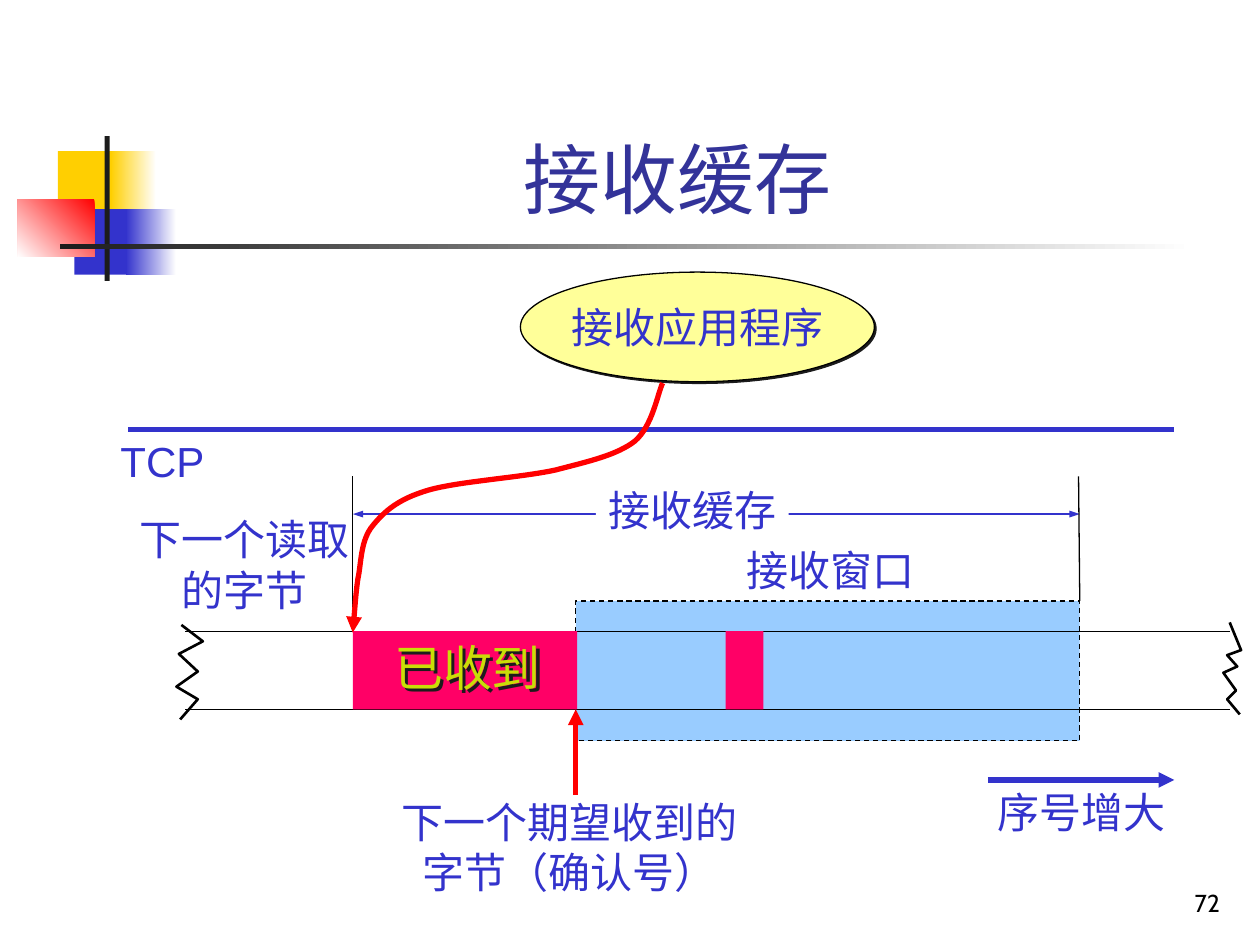
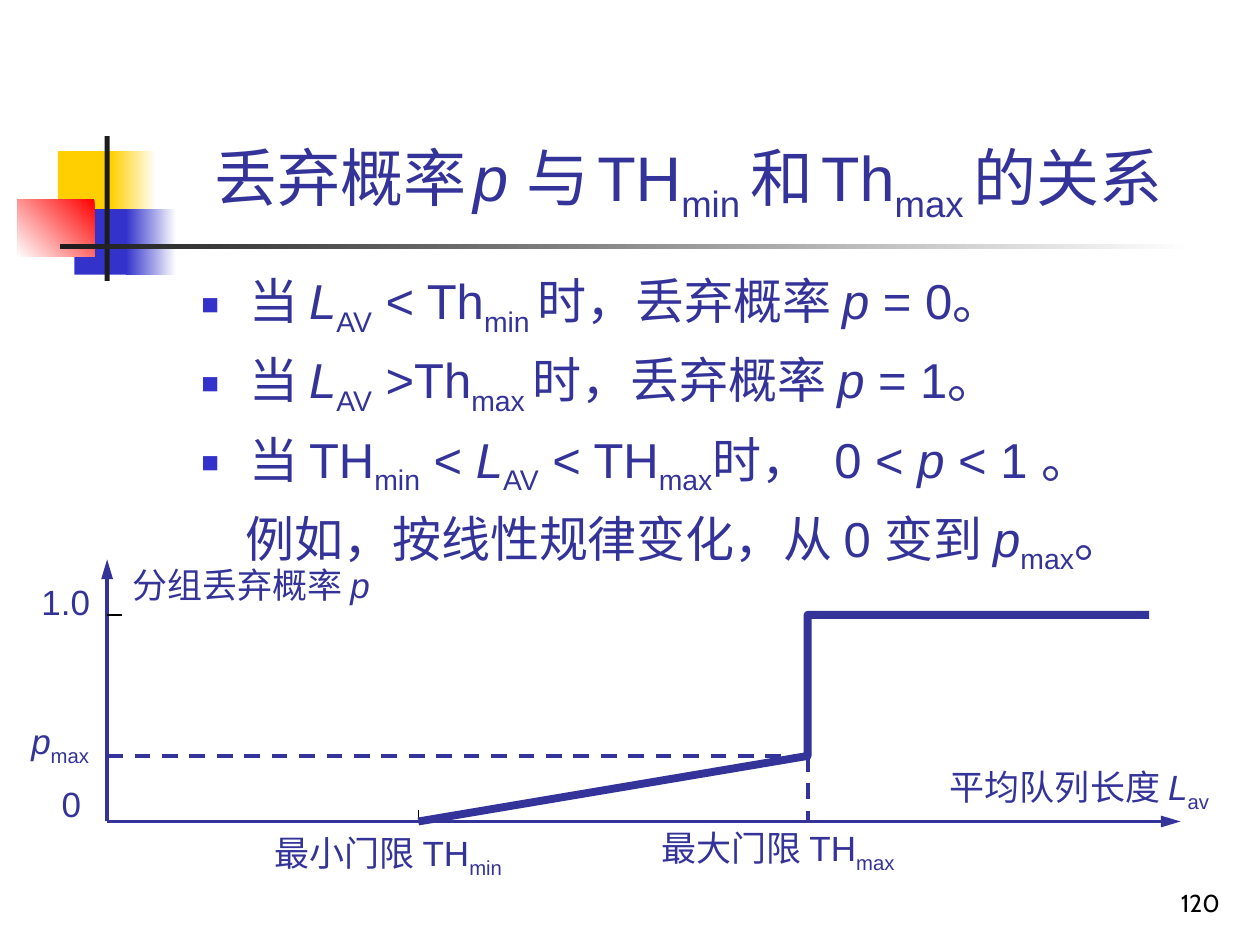
from lxml.etree import SubElement
from pptx import Presentation
from pptx.dml.color import RGBColor
from pptx.enum.dml import MSO_LINE
from pptx.enum.shapes import MSO_CONNECTOR, MSO_SHAPE
from pptx.enum.text import MSO_ANCHOR, PP_ALIGN
from pptx.oxml.ns import qn
from pptx.util import Pt

PX = 9144

WHITE = RGBColor(0xFF, 0xFF, 0xFF)
BLACK = RGBColor(0x00, 0x00, 0x00)
CHARCOAL = RGBColor(0x1C, 0x1C, 0x1C)
GOLD = RGBColor(0xFF, 0xCF, 0x01)
BLUE = RGBColor(0x33, 0x33, 0xCC)
NAVY = RGBColor(0x33, 0x33, 0x99)
RED = RGBColor(0xFF, 0x00, 0x00)
SKY = RGBColor(0x99, 0xCC, 0xFF)
CREAM = RGBColor(0xFF, 0xFF, 0x99)
PINK = RGBColor(0xFF, 0x00, 0x66)
LIME = RGBColor(0xC9, 0xDE, 0x06)

FONT = "Arial"
NUMBER_FONT = "Cabin"
LEFT = PP_ALIGN.LEFT
CENTER = PP_ALIGN.CENTER
DASH = MSO_LINE.DASH

MEDIUM_ARROW = {"w": "med", "len": "med"}
NARROW_ARROW = {"w": "sm", "len": "med"}
LONG_ARROW = {"w": "med", "len": "lg"}

MARKS = {
    "/": ({"italic": True}, {}),
    "_": ({}, {"baseline": "-25000"}),
    "~": ({"size": Pt(20)}, {}),
    ">>": ({}, {"spc": "750"}),
}


def emu(*lengths):
    return [round(length * PX) for length in lengths]


def apply(target, values):
    for name, value in values.items():
        setattr(target, name, value)


def add_shadow(shape, distance):
    shape.shadow.inherit = False
    effects = shape._element.spPr.find(qn("a:effectLst"))
    shadow = SubElement(effects, qn("a:outerShdw"), dist=str(Pt(distance)), dir="2700000", algn="ctr", rotWithShape="0")
    SubElement(shadow, qn("a:srgbClr"), val=str(CHARCOAL))


def style_line(line, color, width, dash=None, head=None, tail=None):
    line.color.rgb = color
    apply(line, {"width": Pt(width), "dash_style": dash})
    for tag, arrow in (("a:headEnd", head), ("a:tailEnd", tail)):
        if arrow:
            SubElement(line._get_or_add_ln(), qn(tag), type="triangle", **arrow)


def add_block(page, kind, place, fill, outline=None, dash=None):
    block = page.shapes.add_shape(kind, *emu(*place))
    block.shadow.inherit = False
    block.fill.solid()
    block.fill.fore_color.rgb = fill
    if outline is None:
        block.line.fill.background()
    else:
        style_line(block.line, outline, 0.75, dash)
    return block


def add_fade(page, place, start, end, angle=180):
    block = add_block(page, MSO_SHAPE.RECTANGLE, place, start)
    block.fill.gradient()
    block.fill.gradient_angle = angle
    for stop, color, position in zip(block.fill.gradient_stops, (start, end), (0, 1)):
        stop.color.rgb = color
        stop.position = position


def add_line(page, start, end, color, width, **ends):
    line = page.shapes.add_connector(MSO_CONNECTOR.STRAIGHT, *emu(*start, *end))
    style_line(line.line, color, width, **ends)
    SubElement(line._element.spPr, qn("a:effectLst"))


def add_path(page, points, color, width, tail=None):
    corners = [emu(*point) for point in points]
    builder = page.shapes.build_freeform(*corners[0], scale=1.0)
    builder.add_line_segments(corners[1:], close=False)
    outline = builder.convert_to_shape()
    outline.shadow.inherit = False
    outline.fill.background()
    style_line(outline.line, color, width, tail=tail)


def curve_points(start, segments, steps=16):
    points = [start]
    for first, second, end in segments:
        for step in range(1, steps + 1):
            t = step / steps
            weights = ((1 - t) ** 3, 3 * t * (1 - t) ** 2, 3 * t * t * (1 - t), t ** 3)
            corners = (start, first, second, end)
            points.append(tuple(sum(w * c[axis] for w, c in zip(weights, corners)) for axis in (0, 1)))
        start = end
    return points


def add_spans(para, text, font):
    for piece in text.split("|"):
        mark = next((key for key in MARKS if piece.startswith(key)), "")
        changes, attributes = MARKS.get(mark, ({}, {}))
        span = para.add_run()
        span.text = piece[len(mark):]
        apply(span.font, {"name": font.get("name", FONT), "size": Pt(font["size"]), **changes})
        span.font.color.rgb = font["color"]
        for name, value in attributes.items():
            span._r.get_or_add_rPr().set(name, value)


def write_text(shape, lines, font, align=LEFT, **frame):
    apply(shape.text_frame, {"word_wrap": False, "vertical_anchor": MSO_ANCHOR.TOP, **frame})
    for index, line in enumerate(lines):
        para = shape.text_frame.paragraphs[0] if index == 0 else shape.text_frame.add_paragraph()
        para.alignment = align
        add_spans(para, line, font)


def add_label(page, place, text, size, color, align=LEFT):
    box = page.shapes.add_textbox(*emu(*place))
    left, right = emu(10, 0) if align == LEFT else emu(5, 5)
    font = {"size": size, "color": color}
    write_text(box, text.split("\n"), font, align, word_wrap=True, margin_left=left, margin_right=right)
    return box


def add_anchored(page, place, text, font, align):
    box = page.shapes.add_textbox(*emu(*place))
    write_text(box, [text], font, align, word_wrap=True, vertical_anchor=MSO_ANCHOR.BOTTOM)


def add_bullets(page, place, lines, closing):
    box = page.shapes.add_textbox(*emu(*place))
    write_text(box, [*lines, closing], {"size": 28, "color": NAVY}, word_wrap=True)
    for index, para in enumerate(box.text_frame.paragraphs):
        if index:
            para.space_before = Pt(7)
        props = para._p.get_or_add_pPr()
        bulleted = index < len(lines)
        margin, indent = emu(38, -38) if bulleted else emu(35, 0)
        props.set("marL", str(margin))
        props.set("indent", str(indent))
        if bulleted:
            SubElement(SubElement(props, qn("a:buClr")), qn("a:srgbClr"), val=str(BLUE))
            SubElement(props, qn("a:buSzPct"), val="60000")
            SubElement(props, qn("a:buFont"), typeface=FONT)
            SubElement(props, qn("a:buChar"), char="■")


def start_page(deck, title, title_size, title_width, number):
    page = deck.slides.add_slide(deck.slide_layouts[6])
    rectangle = MSO_SHAPE.RECTANGLE
    add_block(page, rectangle, (46, 120, 48, 52), GOLD)
    add_fade(page, (88, 120, 36, 52), WHITE, GOLD)
    add_block(page, rectangle, (59, 166, 46, 52), BLUE)
    add_fade(page, (100, 166, 40, 52), WHITE, BLUE)
    add_fade(page, (14, 158, 61, 46), RED, WHITE, 225)
    add_block(page, rectangle, (83, 108, 4, 115), CHARCOAL)
    add_fade(page, (48, 194, 900, 4), WHITE, CHARCOAL)
    add_anchored(page, (126, 23, title_width, 160), title, {"size": title_size, "color": NAVY}, CENTER)
    number_font = {"name": NUMBER_FONT, "size": 14, "color": BLACK}
    add_anchored(page, (770, 683, 208, 50), number, number_font, PP_ALIGN.RIGHT)
    return page


def build_buffer_page(deck):
    page = start_page(deck, "接收缓存", 44, 823, "72")
    rectangle = MSO_SHAPE.RECTANGLE
    buffer_left, buffer_right, next_byte = 280, 857, 457
    stream_top, stream_bottom = 501, 563
    stream_height = stream_bottom - stream_top

    add_block(page, rectangle, (next_byte, 477, buffer_right - next_byte, 111), SKY, BLACK, DASH)
    application = add_block(page, MSO_SHAPE.OVAL, (413, 216, 281, 87), CREAM, BLACK)
    add_shadow(application, 1.4)
    write_text(application, ["接收应用程序"], {"size": 24, "color": BLUE}, CENTER, vertical_anchor=MSO_ANCHOR.MIDDLE)

    add_line(page, (102, 341), (932, 341), BLUE, 3)
    for y in (stream_top, stream_bottom):
        add_line(page, (147, y), (976, y), BLACK, 0.75)
    for left, width in ((buffer_left, 178), (576, 30)):
        add_block(page, rectangle, (left, stream_top, width, stream_height), PINK)
    received = add_label(page, (303, 501, 136, 57), "已收到", 28, LIME)
    add_shadow(received, 2.5)

    add_line(page, (buffer_left, 378), (buffer_left, stream_top), BLACK, 0.75)
    add_line(page, (buffer_left, 408), (buffer_right, 408), BLUE, 0.75, head=NARROW_ARROW, tail=NARROW_ARROW)
    add_line(page, (856, 378), (buffer_right, 477), BLACK, 0.75)
    for place, text in (
        ((583, 427, 153, 50), "接收窗口"),
        ((86, 341, 86, 50), "TCP"),
        ((473, 380, 153, 50), "接收缓存"),
        ((101, 403, 186, 90), "下一个读取\n的字节"),
        ((782, 619, 153, 50), "序号增大"),
        ((309, 627, 286, 90), "下一个期望收到的\n字节（确认号）"),
    ):
        label = add_label(page, place, text, 24, BLUE, CENTER)
        if text == "接收缓存":
            label.fill.solid()
            label.fill.fore_color.rgb = WHITE

    reading = curve_points((526, 304), [
        ((522, 312), (518, 338), (504, 350)),
        ((490, 361), (468, 366), (441, 373)),
        ((414, 379), (364, 382), (340, 389)),
        ((316, 396), (305, 406), (296, 417)),
        ((286, 429), (287, 446), (284, 460)),
        ((282, 474), (281, 493), (280, 502)),
    ])
    add_path(page, reading, RED, 3, tail=MEDIUM_ARROW)
    add_line(page, (784, 619), (932, 619), BLUE, 3, tail=MEDIUM_ARROW)
    add_line(page, (next_byte, 631), (next_byte, stream_bottom), RED, 3, tail=MEDIUM_ARROW)

    right_break = [(976, 494), (985, 516), (974, 520), (982, 529), (971, 534), (981, 548), (974, 555), (984, 567)]
    left_break = [(144, 496), (161, 509), (142, 519), (157, 533), (140, 545), (157, 555), (143, 571)]
    for edge in (right_break, left_break):
        add_path(page, edge, BLACK, 1.5)


def build_drop_page(deck):
    title = "丢弃概率|~ |/p |与|~ |TH|_min |和|~ |Th|_max |的关系 "
    page = start_page(deck, title, 36, 852, "120")
    axis_x, axis_y = 85, 652
    min_x, max_x = 332, 641
    full_y, partial_y = 488, 600

    for end in ((937, axis_y), (axis_x, 444)):
        add_line(page, (axis_x, axis_y), end, NAVY, 2.25, tail=LONG_ARROW)
    for start, end in (((max_x, partial_y), (max_x, axis_y)), ((axis_x, partial_y), (max_x, partial_y))):
        add_line(page, start, end, NAVY, 2.25, dash=DASH)
    add_line(page, (min_x, 643), (min_x, axis_y), BLACK, 0.75)
    add_line(page, (axis_x, full_y), (97, full_y), BLACK, 0.75)
    add_path(page, [(min_x, axis_y), (max_x, partial_y), (max_x, full_y), (912, full_y)], NAVY, 4.5)

    for place, text in (
        ((208, 655, 207, 48), "最小门限 TH|_min"),
        ((515, 651, 212, 48), "最大门限 TH|_max"),
        ((744, 603, 232, 48), "平均队列长度 |/L|_av"),
        ((95, 442, 215, 44), "分组丢弃概率 |/p"),
        ((23, 456, 58, 44), "1.0"),
        ((39, 616, 35, 44), "0"),
        ((15, 566, 66, 48), "/p|_max"),
    ):
        add_label(page, place, text, 20, NAVY)

    add_bullets(page, (150, 210, 850, 260), [
        "当 |/L|_AV| < Th|_min |时，丢弃概率 |/p| = 0。",
        "当 |/L|_AV| >Th|_max |时，丢弃概率 |/p| = 1。",
        "当 TH|_min| < |/L|_AV| < TH|_max|时，|>> |0 < |/p |< 1 。",
    ], "例如，按线性规律变化，从 0 变到 |/p|_max|。")


def main():
    deck = Presentation()
    apply(deck, {"slide_width": 1000 * PX, "slide_height": 750 * PX})
    build_buffer_page(deck)
    build_drop_page(deck)
    deck.save("out.pptx")


if __name__ == "__main__":
    main()
